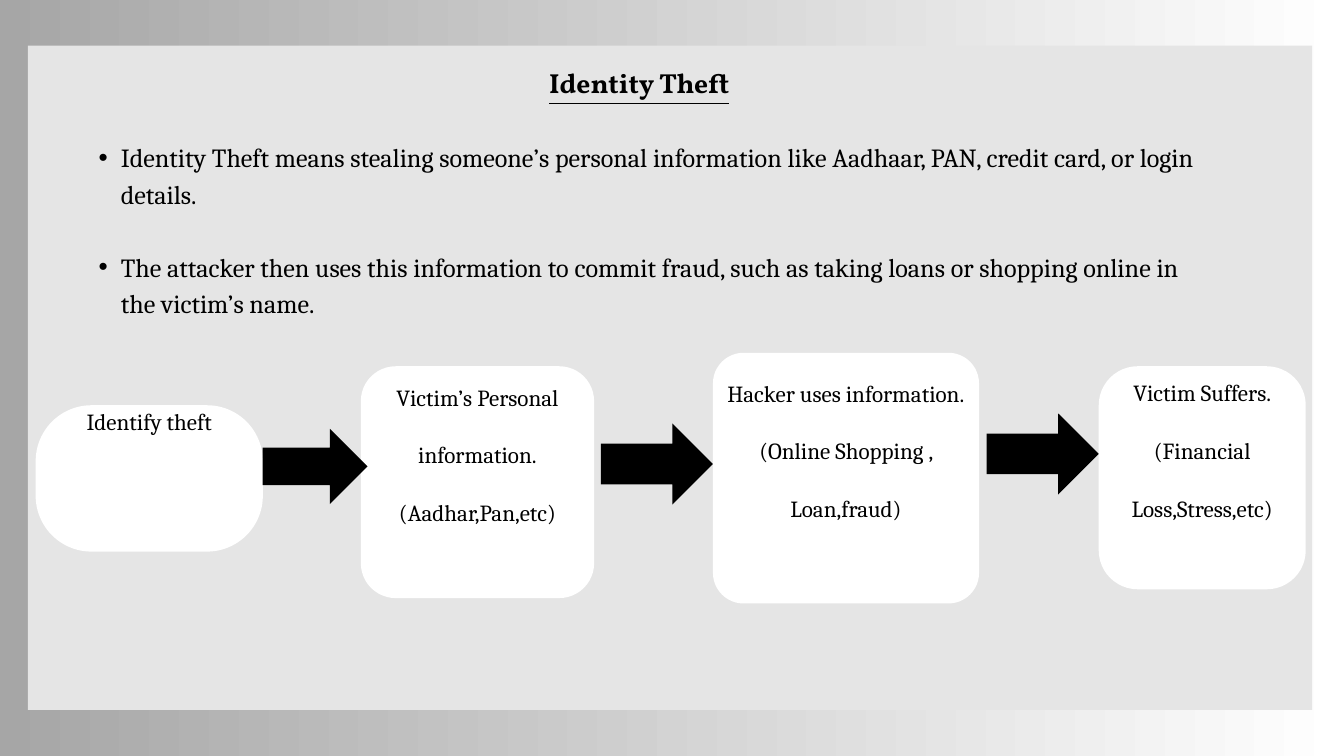
"""Build the identity theft slide: a title, two bullets and a four-step flow."""
import pptx
import pptx.dml.color
import pptx.enum.shapes
import pptx.enum.text
import pptx.util

COLORS = {"shade": "A6A6A6", "white": "FFFFFF", "panel": "E5E5E5", "black": "000000"}
SHAPES = pptx.enum.shapes.MSO_SHAPE
ANCHORS = pptx.enum.text.MSO_ANCHOR
ALIGNMENTS = pptx.enum.text.PP_ALIGN
POINT = pptx.util.Pt

BULLETS = [
    "Identity Theft means stealing someone’s personal information like Aadhaar, PAN, "
    "credit card, or login details.",
    "The attacker then uses this information to commit fraud, such as taking loans or "
    "shopping online in the victim’s name.",
]
STEPS = [
    ("Identify theft", (38.2, 434.2, 243.4, 156.8), 59.8, 154),
    ("Victim’s Personal information.(Aadhar,Pan,etc)", (386.6, 392.4, 250, 248.4), 37.4, 91),
    ("Hacker uses information.(Online Shopping , Loan,fraud)",
     (763.9, 378, 285.1, 268.6), 32.8, 91),
    ("Victim Suffers.(Financial Loss,Stress,etc)", (1177.2, 392.4, 221.8, 239), 41.8, 91),
]
ARROWS = [
    (281.5, 459.4, 112.3, 80.6),
    (643.7, 453.6, 120.2, 87.1),
    (1057, 442.8, 120.2, 87.1),
]


class SlideBuilder:
    def __init__(self, slide):
        self.slide = slide
        self.body_font = "Cambria"
        self.title_font = "Vollkorn"

    def color(self, name):
        return pptx.dml.color.RGBColor.from_string(COLORS[name])

    def background(self, start, end):
        fill = self.slide.background.fill
        fill.gradient()
        fill.gradient_angle = 0
        for stop, name in zip(fill.gradient_stops, (start, end)):
            stop.color.rgb = self.color(name)

    def shape(self, kind, box, color):
        shape = self.slide.shapes.add_shape(kind, *map(POINT, box))
        shape.shadow.inherit = False
        shape.fill.solid()
        shape.fill.fore_color.rgb = self.color(color)
        shape.line.fill.background()
        return shape

    def frame(self, shape, anchor, inset):
        frame = shape.text_frame
        frame.word_wrap = True
        frame.auto_size = pptx.enum.text.MSO_AUTO_SIZE.NONE
        frame.vertical_anchor = anchor
        frame.margin_left = frame.margin_right = POINT(inset)
        frame.margin_top = frame.margin_bottom = POINT(inset)
        return frame

    def format(self, paragraph, size, line, alignment, font):
        paragraph.alignment = alignment
        paragraph.line_spacing = POINT(line)
        paragraph.font.size = POINT(size)
        paragraph.font.name = font
        paragraph.font.color.rgb = self.color("black")

    def placeholder(self, shape, box):
        shape.left, shape.top, shape.width, shape.height = map(POINT, box)
        return self.frame(shape, ANCHORS.TOP, 0)

    def title(self, text, box):
        frame = self.placeholder(self.slide.shapes.title, box)
        frame.text = text
        paragraph = frame.paragraphs[0]
        self.format(paragraph, 29.5, 41.3, ALIGNMENTS.CENTER, self.title_font)
        paragraph.font.bold = True
        paragraph.font.underline = True

    def bullets(self, items, box):
        frame = self.placeholder(self.slide.placeholders[1], box)
        frame.text = "\n".join(items)
        for index, paragraph in enumerate(frame.paragraphs):
            properties = paragraph._p.get_or_add_pPr()
            properties.set("marL", str(POINT(47.5)))
            properties.set("indent", str(POINT(-23.75)))
            self.format(paragraph, 28, 39.2, ALIGNMENTS.LEFT, self.body_font)
            paragraph.space_before = POINT(39.2 if index else 0)

    def step(self, text, box, radius, rise):
        left, top, width, height = box
        card = self.shape(SHAPES.ROUNDED_RECTANGLE, box, "white")
        card.adjustments[0] = radius / min(width, height)
        label_box = (left, top - rise, width, height + rise)
        label = self.slide.shapes.add_textbox(*map(POINT, label_box))
        frame = self.frame(label, ANCHORS.MIDDLE, 4)
        frame.text = text
        self.format(frame.paragraphs[0], 24.7, 61.8, ALIGNMENTS.CENTER, self.body_font)


def main():
    presentation = pptx.Presentation()
    presentation.slide_width = POINT(1440)
    presentation.slide_height = POINT(810)
    slide = presentation.slides.add_slide(presentation.slide_layouts[1])
    builder = SlideBuilder(slide)
    builder.background("shade", "white")
    panel = builder.shape(SHAPES.RECTANGLE, (30, 49, 1376, 711.5), "panel")
    slide.shapes._spTree.insert(2, panel._element)
    builder.title("Identity Theft", (82, 65, 1206, 41.3))
    builder.bullets(BULLETS, (82, 146, 1206, 196))
    for step in STEPS:
        builder.step(*step)
    for box in ARROWS:
        builder.shape(SHAPES.RIGHT_ARROW, box, "black")
    presentation.save("out.pptx")


if __name__ == "__main__":
    main()
